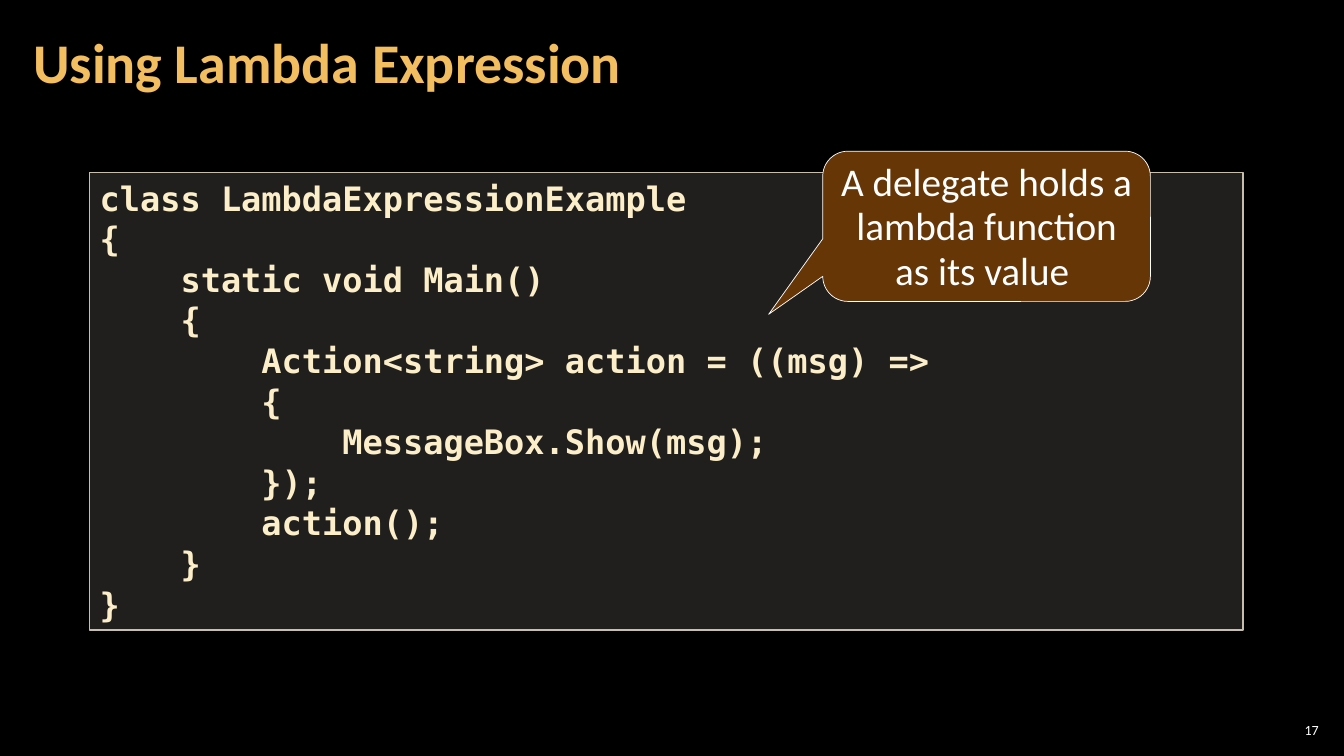
from lxml.etree import SubElement
from pptx import Presentation
from pptx.dml.color import RGBColor
from pptx.enum.shapes import MSO_SHAPE
from pptx.enum.text import MSO_ANCHOR, PP_ALIGN
from pptx.oxml.ns import qn
from pptx.util import Inches, Pt

TITLE = "Using Lambda Expression"
CODE = """class LambdaExpressionExample
{
    static void Main()
    {
        Action<string> action = ((msg) =>
        {
            MessageBox.Show(msg);
        });
        action();
    }
}"""
CALLOUT = "A delegate holds a lambda function as its value "
SLIDE_NUMBER = "17"

COLORS = {
    "background": "000000",
    "title": "F3BE60",
    "code": "FBEEC9",
    "code fill": "D9D5C7",
    "code line": "C7BFAC",
    "callout fill": "663606",
    "white": "FFFFFF",
}
CODE_FILL_OPACITY = 15
CALLOUT_ADJUSTMENTS = (-0.665, 0.586, 0.167)


def color(name):
    return RGBColor.from_string(COLORS[name])


def write(shape, text, font, size, color_name, align=PP_ALIGN.LEFT,
          anchor=MSO_ANCHOR.MIDDLE, margins=(0.1, 0.05), spacing=None, bold=False):
    """Put text in a shape; margins are (sides, top and bottom) in inches."""
    frame = shape.text_frame
    frame.word_wrap = True
    frame.vertical_anchor = anchor
    frame.margin_left = frame.margin_right = Inches(margins[0])
    frame.margin_top = frame.margin_bottom = Inches(margins[1])
    frame.text = text
    for para in frame.paragraphs:
        para.alignment = align
        para.line_spacing = spacing
        for span in para.runs:
            span.font.name = font
            span.font.size = Pt(size)
            span.font.bold = bold
            span.font.color.rgb = color(color_name)


def add_panel(page, kind, place, fill_name, line_name, line_width):
    panel = page.shapes.add_shape(kind, *map(Inches, place))
    panel.shadow.inherit = False
    panel.fill.solid()
    panel.fill.fore_color.rgb = color(fill_name)
    panel.line.color.rgb = color(line_name)
    panel.line.width = Pt(line_width)
    return panel


def set_fill_opacity(shape, percent):
    fill_color = shape.element.spPr.find(qn("a:solidFill"))[0]
    SubElement(fill_color, qn("a:alpha"), val=str(percent * 1000))


def main():
    deck = Presentation()
    deck.slide_width, deck.slide_height = Inches(13.33), Inches(7.5)
    page = deck.slides.add_slide(deck.slide_layouts[5])
    page.background.fill.solid()
    page.background.fill.fore_color.rgb = color("background")

    number = page.shapes.add_textbox(*map(Inches, (12.65, 7.14, 0.47, 0.21)))
    write(number, SLIDE_NUMBER, "Calibri", 10, "white", PP_ALIGN.RIGHT,
          margins=(0.04, 0.04))

    title = page.shapes.title
    title.left, title.top, title.width, title.height = map(
        Inches, (0.21, 0.04, 10.47, 1.21))
    write(title, TITLE, "Calibri", 40, "title", margins=(0.12, 0.04),
          spacing=0.9, bold=True)

    code = add_panel(page, MSO_SHAPE.RECTANGLE, (0.89, 1.71, 11.44, 4.54),
                     "code fill", "code line", 1)
    set_fill_opacity(code, CODE_FILL_OPACITY)
    write(code, CODE, "DejaVu Sans Mono", 24, "code", anchor=MSO_ANCHOR.TOP,
          spacing=Pt(29), bold=True)

    callout = add_panel(page, MSO_SHAPE.ROUNDED_RECTANGULAR_CALLOUT,
                        (8.16, 1.5, 3.25, 1.49), "callout fill", "white", 0.5)
    for index, value in enumerate(CALLOUT_ADJUSTMENTS):
        callout.adjustments[index] = value
    write(callout, CALLOUT, "Calibri", 28, "white", PP_ALIGN.CENTER,
          margins=(0.08, 0), spacing=Pt(32))

    deck.save("out.pptx")


if __name__ == "__main__":
    main()
